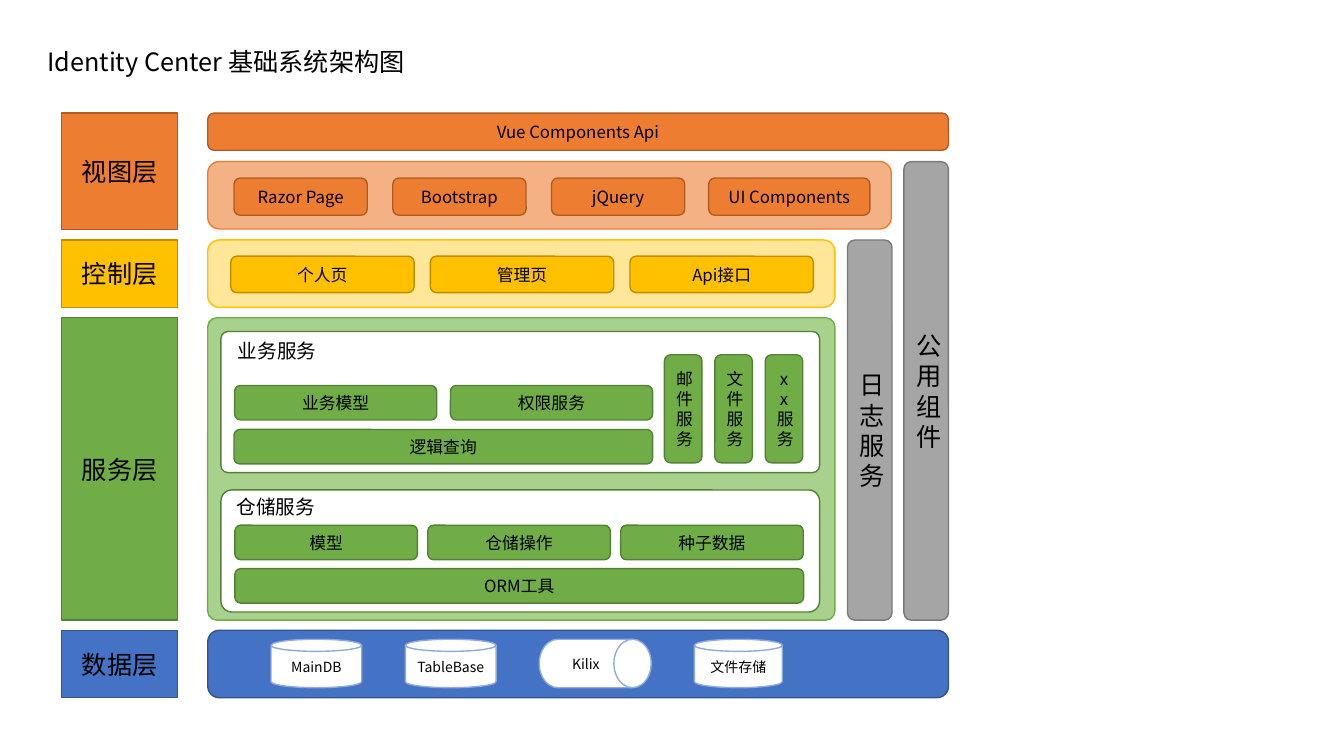
"""Build the layered system architecture slide."""
from pptx import Presentation
from pptx.dml.color import RGBColor
from pptx.enum import shapes, text
from pptx.util import Pt

FONT = "Noto Sans CJK SC"
BLACK = RGBColor(0, 0, 0)
WHITE = RGBColor(0xFF, 0xFF, 0xFF)
ORANGE, ORANGE_DARK, ORANGE_LIGHT = (RGBColor.from_string(c) for c in ("ED7D31", "AF5C24", "F4B183"))
YELLOW, YELLOW_DARK, YELLOW_LIGHT = (RGBColor.from_string(c) for c in ("FFC000", "BD8E00", "FFE699"))
GREEN, GREEN_DARK, GREEN_LIGHT = (RGBColor.from_string(c) for c in ("70AD47", "538035", "A9D18E"))
BLUE, BLUE_DARK, BLUE_LIGHT = (RGBColor.from_string(c) for c in ("4472C4", "325491", "8FAADC"))
GRAY, GRAY_DARK = RGBColor(0xA5, 0xA5, 0xA5), RGBColor(0x7A, 0x7A, 0x7A)

VIEW, CONTROL, SERVICE = (ORANGE, ORANGE_DARK), (YELLOW, YELLOW_DARK), (GREEN, GREEN_DARK)
DATA, SHARED, STORE = (BLUE, BLUE_DARK), (GRAY, GRAY_DARK), (WHITE, BLUE_LIGHT)
RECTANGLE = shapes.MSO_SHAPE.RECTANGLE
ROUNDED = shapes.MSO_SHAPE.ROUNDED_RECTANGLE
CAN = shapes.MSO_SHAPE.CAN
DRUM = shapes.MSO_SHAPE.FLOWCHART_DIRECT_ACCESS_STORAGE

TITLE = "Identity Center 基础系统架构图"
LABEL_LEFT, LABEL_WIDTH = 44, 83
PANEL_LEFT, PANEL_RIGHT = 148.4, 677.5
VIEW_TOP, PANEL_TOP, CONTROL_TOP, SERVICE_TOP, DATA_TOP = 80.8, 115.4, 171.4, 227, 450.2
SERVICE_BOTTOM, BAND_HEIGHT, BAR_WIDTH = 443, 48.2, 31.8
CONTROL_WIDTH, VIEW_WIDTH = 448, 488.2
INNER_LEFT, INNER_WIDTH = 157.8, 427.6

LAYERS = [
    ("视图层", VIEW_TOP, 83, VIEW),
    ("控制层", CONTROL_TOP, BAND_HEIGHT, CONTROL),
    ("服务层", SERVICE_TOP, SERVICE_BOTTOM - SERVICE_TOP, SERVICE),
    ("数据层", DATA_TOP, BAND_HEIGHT, DATA),
]
PANELS = [
    (PANEL_LEFT, PANEL_TOP, VIEW_WIDTH, BAND_HEIGHT, (ORANGE_LIGHT, ORANGE), 0.17),
    (PANEL_LEFT, CONTROL_TOP, CONTROL_WIDTH, BAND_HEIGHT, (YELLOW_LIGHT, YELLOW), 0.17),
    (PANEL_LEFT, SERVICE_TOP, CONTROL_WIDTH, SERVICE_BOTTOM - SERVICE_TOP, (GREEN_LIGHT, GREEN), 0.03),
    (PANEL_LEFT, DATA_TOP, PANEL_RIGHT - PANEL_LEFT, BAND_HEIGHT, DATA, 0.17),
    (INNER_LEFT, 236.8, INNER_WIDTH, 100.8, (WHITE, GREEN_DARK), 0.05),
    (INNER_LEFT, 350, INNER_WIDTH, 87.2, (WHITE, GREEN_DARK), 0.09),
]
BARS = [
    ("日志服务", 605.4, CONTROL_TOP),
    ("公用组件", PANEL_RIGHT - BAR_WIDTH, PANEL_TOP),
]
HEADINGS = [("业务服务", 162.8, 238.4), ("仓储服务", 162, 350)]
ROWS = [
    (["Vue Components Api"], PANEL_LEFT, VIEW_TOP, PANEL_RIGHT - PANEL_LEFT, 26.6, 0, VIEW, ROUNDED, 12),
    (["Razor Page", "Bootstrap", "jQuery"], 167.2, 127.2, 95.2, 26.6, 18.2, VIEW, ROUNDED, 12),
    (["UI Components"], 506.2, 127.2, 115.2, 26.6, 0, VIEW, ROUNDED, 12),
    (["个人页", "管理页", "Api接口"], 164.8, 183, 131, 26, 11.6, CONTROL, ROUNDED, 12),
    (["业务模型", "权限服务"], 167.6, 275.4, 144.4, 24.6, 9.8, SERVICE, ROUNDED, 12),
    (["逻辑查询"], 167.2, 306.8, 299, 24.6, 0, SERVICE, ROUNDED, 12),
    (["邮件服务", "文件服务", "xx服务"], 474.6, 253.4, 26.8, 77.2, 9.2, SERVICE, ROUNDED, 12),
    (["模型", "仓储操作", "种子数据"], 167.8, 375.2, 130.4, 24.6, 7.4, SERVICE, ROUNDED, 12),
    (["ORM工具"], 167.8, 406.2, 406.2, 24.6, 0, SERVICE, ROUNDED, 12),
    (["MainDB", "TableBase"], 193.6, 456.6, 64.8, 34.6, 31.2, STORE, CAN, 10),
    (["Kilix"], 385.2, 456.6, 80, 34.6, 0, STORE, DRUM, 10),
    (["文件存储"], 496, 456.6, 62.8, 34.6, 0, STORE, CAN, 10),
]


def write(shape, label, size, alignment=text.PP_ALIGN.CENTER, anchor=text.MSO_ANCHOR.MIDDLE):
    """Put one formatted paragraph into a shape."""
    frame = shape.text_frame
    frame.word_wrap = True
    frame.vertical_anchor = anchor
    paragraph = frame.paragraphs[0]
    paragraph.text = label
    paragraph.alignment = alignment
    paragraph.font.name = FONT
    paragraph.font.size = Pt(size)
    paragraph.font.color.rgb = BLACK


def add_block(slide, kind, left, top, width, height, style, label="", size=12):
    """Add a filled, outlined shape with an optional centred label."""
    shape = slide.shapes.add_shape(kind, Pt(left), Pt(top), Pt(width), Pt(height))
    shape.shadow.inherit = False
    fill, line = style
    shape.fill.solid()
    shape.fill.fore_color.rgb = fill
    shape.line.color.rgb = line
    shape.line.width = Pt(1)
    if label:
        write(shape, label, size)
    return shape


presentation = Presentation()
presentation.slide_width, presentation.slide_height = Pt(960), Pt(540)
slide = presentation.slides.add_slide(presentation.slide_layouts[5])

title = slide.shapes.title
title.left, title.top, title.width, title.height = Pt(26.6), Pt(29.6), Pt(602), Pt(29)
write(title, TITLE, 18, text.PP_ALIGN.LEFT)

for label, top, height, style in LAYERS:
    add_block(slide, RECTANGLE, LABEL_LEFT, top, LABEL_WIDTH, height, style, label, 18)

for left, top, width, height, style, rounding in PANELS:
    panel = add_block(slide, ROUNDED, left, top, width, height, style)
    panel.adjustments[0] = rounding

for label, left, top in BARS:
    add_block(slide, ROUNDED, left, top, BAR_WIDTH, SERVICE_BOTTOM - top, SHARED, label, 18)

for label, left, top in HEADINGS:
    heading = slide.shapes.add_textbox(Pt(left), Pt(top), Pt(72), Pt(28))
    write(heading, label, 14, text.PP_ALIGN.LEFT, text.MSO_ANCHOR.TOP)

for labels, left, top, width, height, gap, style, kind, size in ROWS:
    for index, label in enumerate(labels):
        add_block(slide, kind, left + index * (width + gap), top, width, height, style, label, size)

presentation.save("out.pptx")
